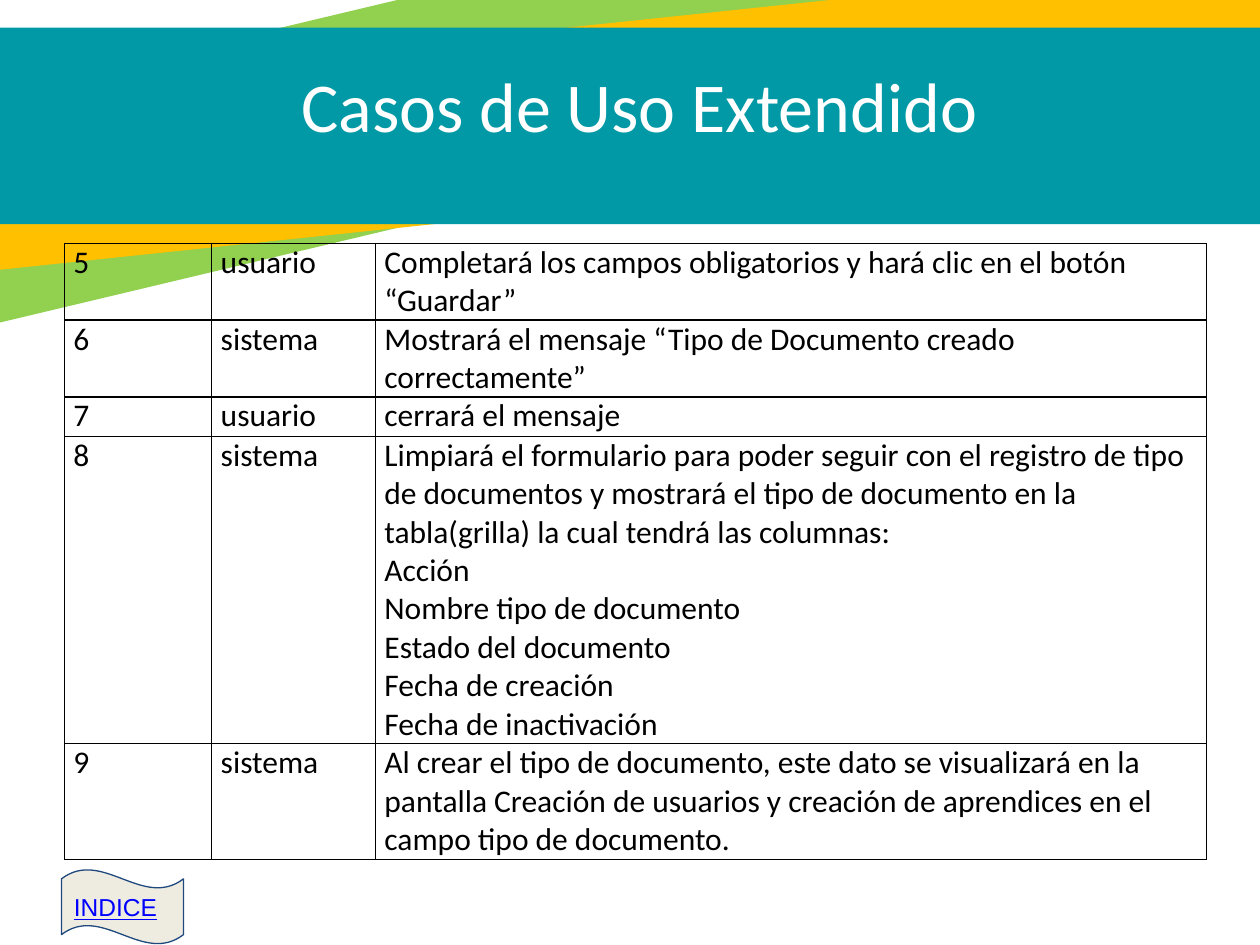
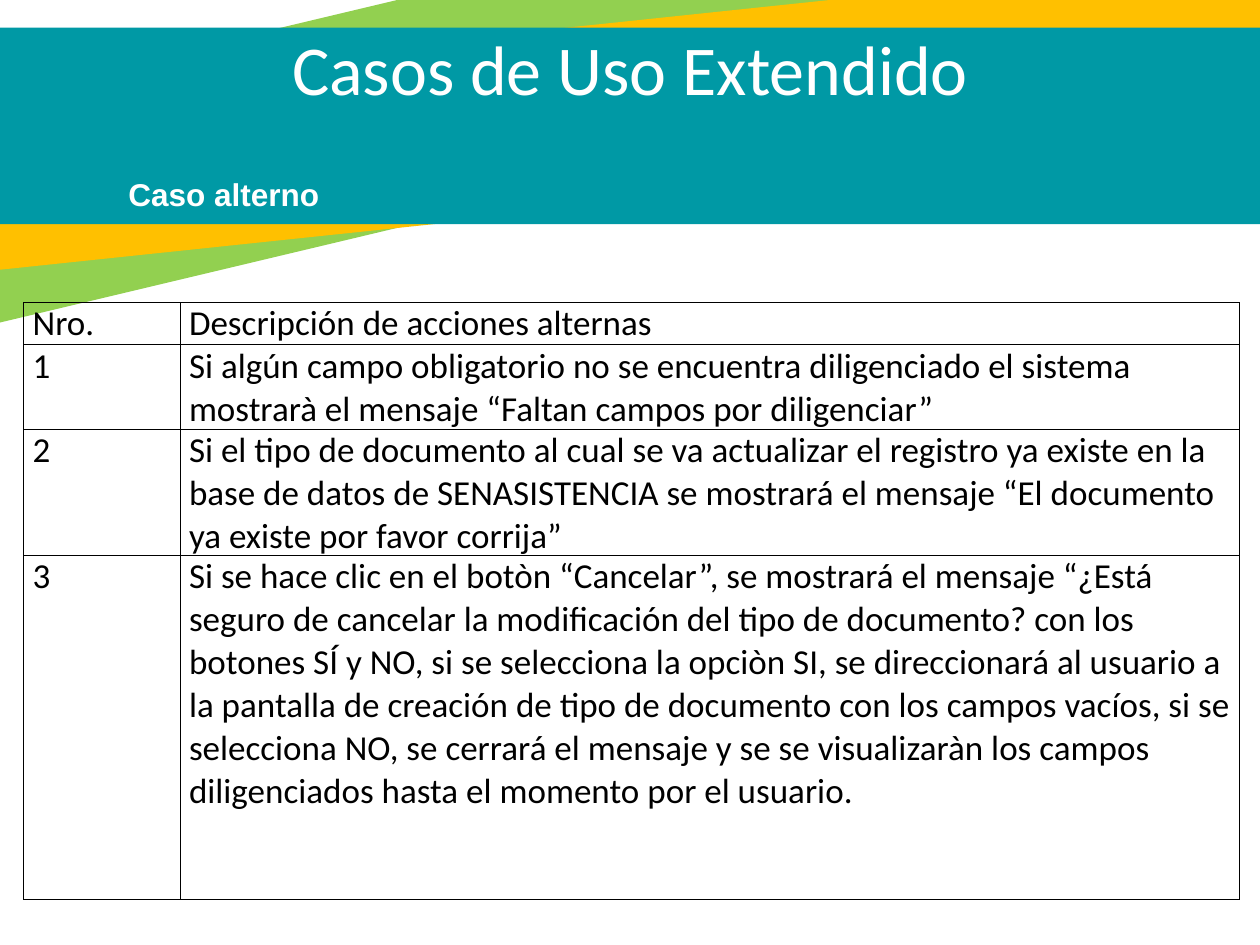
import pptx
import pptx.util
import pptx.dml.color
import pptx.enum.shapes
import pptx.enum.text
from dataclasses import dataclass
from lxml import etree

Cm, Pt = pptx.util.Cm, pptx.util.Pt
SHAPE = pptx.enum.shapes.MSO_SHAPE
ALIGN = pptx.enum.text.PP_ALIGN
ANCHOR = pptx.enum.text.MSO_ANCHOR
A = "http://schemas.openxmlformats.org/drawingml/2006/main"


@dataclass(frozen=True)
class Theme:
    green: str = "92D050"
    yellow: str = "FFC000"
    teal: str = "0099A5"
    white: str = "FFFFFF"
    black: str = "000000"
    cream: str = "EEECE1"
    navy: str = "1F497D"
    link: str = "0000FF"
    body_font: str = "Calibri"
    label_font: str = "Arial"
    title_size: int = 40
    label_size: int = 18
    button_size: int = 14
    line_width: float = 0.75


T = Theme()
TITLE = "Casos de Uso Extendido"

# Boxes are left, top, width, height in centimetres.
BANDS = [
    ((-6.38, -0.46, 33.17, 4.47), 346.6, T.green),
    ((-2.79, 0.51, 29.54, 3.66), 354, T.yellow),
    ((-2.69, 0.56, 29.54, 3.96), 0, T.teal),
]

# A list in a cell holds a lead paragraph followed by hanging items.
MAIN_STEPS = {
    "at": (1.3, 4.9),
    "cols": (2.97, 3.3, 16.76),
    "heights": (1.52, 1.52, 0.79, 6.1, 2.29),
    "size": 18,
    "justified": {1},
    "rows": [
        ("5", "usuario", "Completará los campos obligatorios y hará clic en el botón “Guardar”"),
        ("6", "sistema", "Mostrará el mensaje “Tipo de Documento creado correctamente”"),
        ("7", "usuario", "cerrará el mensaje"),
        ("8", "sistema", [
            "Limpiará el formulario para poder seguir con el registro de tipo de documentos "
            "y mostrará el tipo de documento en la tabla(grilla) la cual tendrá las columnas:",
            "Acción",
            "Nombre tipo de documento",
            "Estado del documento",
            "Fecha de creación",
            "Fecha de inactivación",
        ]),
        ("9", "sistema",
         "Al crear el tipo de documento, este dato se visualizará en la pantalla Creación de "
         "usuarios y creación de aprendices en el campo tipo de documento."),
    ],
}
ALTERNATE_STEPS = {
    "at": (0.48, 6.1),
    "cols": (3.15, 21.36),
    "heights": (0.85, 1.7, 2.55, 6.93),
    "size": 20,
    "justified": set(),
    "rows": [
        ("Nro.", "Descripción de acciones alternas"),
        ("1", "Si algún campo obligatorio no se encuentra diligenciado el sistema mostrarà "
              "el mensaje “Faltan campos por diligenciar”"),
        ("2", "Si el tipo de documento al cual se va actualizar el registro ya existe en la "
              "base de datos de SENASISTENCIA se mostrará el mensaje “El documento ya existe "
              "por favor corrija”"),
        ("3", "Si se hace clic en el botòn “Cancelar”, se mostrará el mensaje “¿Está seguro de "
              "cancelar la modificación del tipo de documento? con los botones SÍ y NO, si se "
              "selecciona la opciòn SI, se direccionará al usuario a la pantalla de creación de "
              "tipo de documento con los campos vacíos, si se selecciona NO, se cerrará el "
              "mensaje y se se visualizaràn los campos diligenciados hasta el momento por el "
              "usuario."),
    ],
}


def rgb(color):
    return pptx.dml.color.RGBColor.from_string(color)


def box(lengths):
    return [Cm(v) for v in lengths]


def style(p, font, size, color, bold=False, underline=False, align=ALIGN.LEFT):
    p.alignment = align
    for r in p.runs:
        r.font.name, r.font.size = font, Pt(size)
        r.font.bold, r.font.underline = bold, underline
        r.font.color.rgb = rgb(color)


def add_filled(s, kind, at, color):
    sp = s.shapes.add_shape(kind, *box(at))
    sp.shadow.inherit = False
    sp.fill.solid()
    sp.fill.fore_color.rgb = rgb(color)
    return sp


def add_bands(s):
    """Draw the bands and hand them to the layout, behind its placeholders."""
    tree = s.slide_layout.shapes.element
    for i, (at, angle, color) in enumerate(BANDS):
        sp = add_filled(s, SHAPE.RECTANGLE, at, color)
        sp.line.fill.background()
        sp.rotation = angle
        tree.insert(2 + i, sp.element)


def add_title(s, at):
    sp = s.shapes.title
    sp.left, sp.top, sp.width, sp.height = box(at)
    tf = sp.text_frame
    tf.text = TITLE
    tf.vertical_anchor = ANCHOR.TOP
    tf.auto_size = pptx.enum.text.MSO_AUTO_SIZE.NONE
    style(tf.paragraphs[0], T.body_font, T.title_size, T.white, align=ALIGN.CENTER)


def add_subtitle(s, text, at):
    tf = s.shapes.add_textbox(*box(at)).text_frame
    tf.word_wrap = True
    tf.text = text
    style(tf.paragraphs[0], T.label_font, T.label_size, T.white, bold=True)


def add_index_button(s, text, at):
    sp = add_filled(s, SHAPE.WAVE, at, T.cream)
    sp.line.color.rgb = rgb(T.navy)
    sp.line.width = Pt(T.line_width)
    tf = sp.text_frame
    tf.margin_left = tf.margin_right = tf.margin_top = tf.margin_bottom = Cm(0.25)
    tf.vertical_anchor = ANCHOR.MIDDLE
    tf.text = text
    style(tf.paragraphs[0], T.label_font, T.button_size, T.link, underline=True)


def set_borders(cell):
    tc_pr = cell._tc.get_or_add_tcPr()
    for i, side in enumerate(("lnL", "lnR", "lnT", "lnB")):
        ln = etree.Element(f"{{{A}}}{side}", w=str(Pt(T.line_width)))
        fill = etree.SubElement(ln, f"{{{A}}}solidFill")
        etree.SubElement(fill, f"{{{A}}}srgbClr", val=T.black)
        tc_pr.insert(i, ln)


def fill_cell(cell, content, size, align):
    paragraphs = content if isinstance(content, list) else [content]
    cell.margin_left = cell.margin_right = Cm(0.18)
    cell.margin_top = cell.margin_bottom = 0
    cell.fill.background()
    set_borders(cell)
    tf = cell.text_frame
    tf.text = "\n".join(paragraphs)
    for i, p in enumerate(tf.paragraphs):
        style(p, T.body_font, size, T.black, align=align)
        if i:
            p_pr = p._p.get_or_add_pPr()
            p_pr.set("marL", str(Cm(0.97)))
            p_pr.set("indent", str(-Cm(0.97)))


def add_steps(s, steps):
    rows, cols, heights = steps["rows"], steps["cols"], steps["heights"]
    at = (*steps["at"], sum(cols), sum(heights))
    table = s.shapes.add_table(len(rows), len(cols), *box(at)).table
    table.first_row = table.horz_banding = False
    for column, width in zip(table.columns, cols):
        column.width = Cm(width)
    for row, height, contents in zip(table.rows, heights, rows):
        row.height = Cm(height)
        for c, content in enumerate(contents):
            align = ALIGN.JUSTIFY if c in steps["justified"] else ALIGN.LEFT
            fill_cell(row.cells[c], content, steps["size"], align)


def main():
    prs = pptx.Presentation()
    prs.slide_width, prs.slide_height = Cm(25.4), Cm(19.05)
    title_only = prs.slide_layouts[5]

    s = prs.slides.add_slide(title_only)
    add_bands(s)
    add_title(s, (1.52, 1.14, 22.73, 1.96))
    add_steps(s, MAIN_STEPS)
    add_index_button(s, "INDICE", (1.24, 17.53, 2.46, 1.5))

    s = prs.slides.add_slide(title_only)
    add_title(s, (0, 0.38, 25.4, 1.96))
    add_subtitle(s, "Caso alterno", (2.34, 3.4, 12.7, 1.02))
    add_steps(s, ALTERNATE_STEPS)

    prs.save("out.pptx")


if __name__ == "__main__":
    main()
